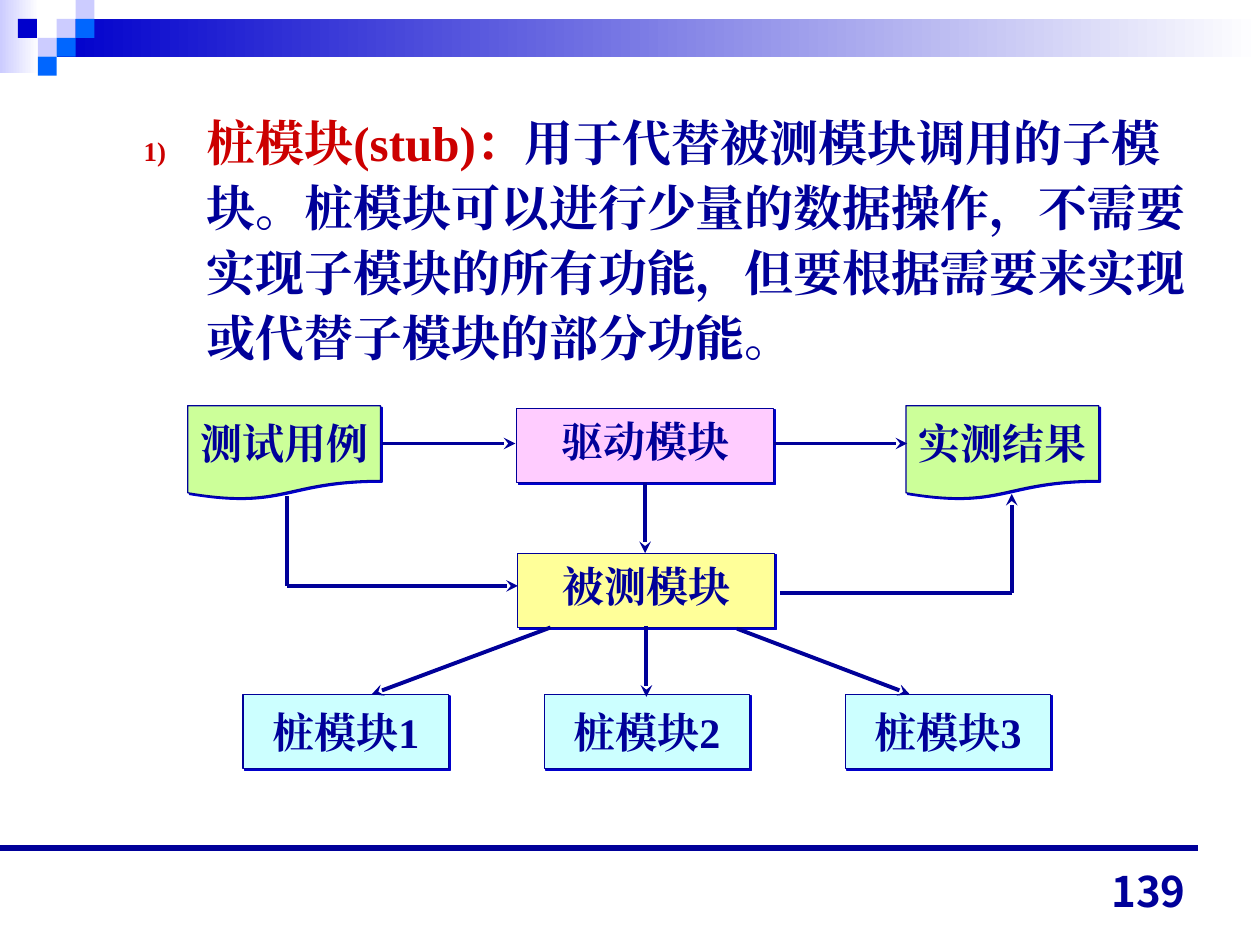
from lxml.etree import SubElement
from pptx import Presentation
from pptx.dml.color import RGBColor
from pptx.enum.shapes import MSO_CONNECTOR as Connector, MSO_SHAPE as Shape
from pptx.enum.text import MSO_ANCHOR as Anchor, MSO_AUTO_SIZE as AutoSize, PP_ALIGN as Align
from pptx.oxml.ns import qn
from pptx.util import Inches, Pt

WHITE = RGBColor(0xFF, 0xFF, 0xFF)
NAVY = RGBColor(0x00, 0x00, 0x99)
BLUE = RGBColor(0x00, 0x00, 0xCC)
BRIGHT = RGBColor(0x00, 0x66, 0xFF)
LAVENDER = RGBColor(0xCC, 0xCC, 0xFF)
RED = RGBColor(0xCC, 0x00, 0x00)
YELLOW = RGBColor(0xFF, 0xFF, 0x99)
PINK = RGBColor(0xFF, 0xCC, 0xFF)
CYAN = RGBColor(0xCC, 0xFF, 0xFF)
GREEN = RGBColor(0xCC, 0xFF, 0x99)

SERIF = "Times New Roman"
SANS = "Noto Sans CJK JP"
COLUMNS, ROWS = 100, 75  # the slide is a grid of square cells
CELL = Inches(0.1)


def cells(*counts):
    return [round(count * CELL) for count in counts]


def add_xml(parent, tag, **attributes):
    return SubElement(parent, qn(tag), {key: str(value) for key, value in attributes.items()})


def add_run(paragraph, text, size, color=NAVY, font=SERIF):
    run = paragraph.add_run()
    run.text = text
    for name, value in {"name": font, "size": Pt(size), "bold": True}.items():
        setattr(run.font, name, value)
    run.font.color.rgb = color
    add_xml(run.font._element, "a:ea", typeface=font)


def format_frame(frame, **values):
    defaults = {"word_wrap": True, "auto_size": AutoSize.NONE}
    for name, value in (defaults | values).items():
        setattr(frame, name, value)


def add_block(slide, box, color, fade=False):
    """Add a borderless rectangle, plain or fading to white on the right."""
    shape = slide.shapes.add_shape(Shape.RECTANGLE, *cells(*box))
    shape.shadow.inherit = False
    shape.line.fill.background()
    if fade:
        shape.fill.gradient()
        shape.fill.gradient_angle = 0
        for stop, stop_color in zip(shape.fill.gradient_stops, (color, WHITE)):
            stop.color.rgb = stop_color
    else:
        shape.fill.solid()
        shape.fill.fore_color.rgb = color


def add_line(slide, start, end, width=2.25, arrow=False):
    line = slide.shapes.add_connector(Connector.STRAIGHT, *cells(*start, *end))
    line.line.color.rgb = NAVY
    line.line.width = Pt(width)
    if arrow:
        add_xml(line.line._get_or_add_ln(), "a:tailEnd", type="stealth")
    add_xml(line._element.spPr, "a:effectLst")


def add_header(slide, left, top, width):
    """Draw the fading bar and its mosaic of small squares."""
    tile = 1.5
    add_block(slide, (left, top, 3.1, 5.8), LAVENDER, fade=True)
    add_block(slide, (left + 3 * tile, top + tile, width - 3 * tile, 2 * tile), BLUE, fade=True)
    mosaic = {
        LAVENDER: [(3, 1), (4, 0), (2, 2)],
        BRIGHT: [(4, 1), (3, 2), (2, 3)],
        BLUE: [(0.95, 1)],
    }
    for color, places in mosaic.items():
        for column, row in places:
            add_block(slide, (left + column * tile, top + row * tile, tile, tile), color)


def fill_body(body, box):
    """Place the numbered definition in the body placeholder."""
    body.left, body.top, body.width, body.height = cells(*box)
    format_frame(body.text_frame, vertical_anchor=Anchor.TOP)
    paragraph = body.text_frame.paragraphs[0]
    paragraph.level = 1
    properties = paragraph._p.get_or_add_pPr()
    properties.set("marL", str(Inches(1)))
    properties.set("indent", str(Inches(-0.5)))
    add_xml(add_xml(properties, "a:buClr"), "a:srgbClr", val=RED)
    add_xml(properties, "a:buSzPct", val=55000)
    add_xml(properties, "a:buFont", typeface=SANS)
    add_xml(properties, "a:buAutoNum", type="arabicParenR")
    spacing = {"line_spacing": 1.1, "space_before": Pt(0), "alignment": Align.LEFT}
    for name, value in spacing.items():
        setattr(paragraph, name, value)
    add_run(paragraph, "桩模块(stub)：", 28, RED)
    add_run(paragraph, "用于代替被测模块调用的子模块。桩模块可以进行少量的数据操作，"
            "不需要实现子模块的所有功能，但要根据需要来实现或代替子模块的部分功能。", 28)


def add_node(slide, box, text, color, kind=Shape.RECTANGLE, lift=0):
    """Add a labelled box with a hard shadow; lift raises its label."""
    node = slide.shapes.add_shape(kind, *cells(*box))
    node.fill.solid()
    node.fill.fore_color.rgb = color
    node.line.color.rgb = NAVY
    node.line.width = Pt(0.75)
    node.shadow.inherit = False
    shadow = add_xml(node._element.spPr.find(qn("a:effectLst")), "a:outerShdw", blurRad=0,
                     dist=Pt(1.4), dir=45 * 60000, algn="ctr", rotWithShape=0)
    add_xml(shadow, "a:srgbClr", val=BLUE)
    format_frame(node.text_frame, vertical_anchor=Anchor.MIDDLE, margin_left=0, margin_right=0,
                 margin_top=0, margin_bottom=cells(lift)[0])
    paragraph = node.text_frame.paragraphs[0]
    paragraph.alignment = Align.CENTER
    add_run(paragraph, text, 24)


def add_diagram(slide, left, top):
    """Draw the test set-up: cases, driver, module under test, stubs, results."""
    module, stub, document = (20.4, 5.9), (16.3, 5.9), (15.3, 7.4)

    def place(x, y):
        return left + x, top + y

    add_node(slide, (*place(26.2, 11.7), *module), "被测模块", YELLOW, lift=0.7)
    add_node(slide, (*place(26.1, 0.2), *module), "驱动模块", PINK, lift=0.7)
    for index in range(3):
        add_node(slide, (*place(4.4 + 23.9 * index, 22.9), *stub), f"桩模块{index + 1}", CYAN)
    for x, text in ((0, "测试用例"), (57, "实测结果")):
        add_node(slide, (*place(x, 0), *document), text, GREEN, Shape.FLOWCHART_DOCUMENT)

    arrows = [
        ((36.3, 6.1), (36.3, 11.7)),  # driver to module under test
        ((36.4, 17.5), (36.4, 23.1)),  # module under test to the stubs
        ((28.8, 17.6), (14.6, 22.9)),
        ((43.6, 17.7), (57.3, 22.9)),
        ((15.4, 3), (26, 3)),  # cases to driver, driver to results
        ((46.5, 3), (57.1, 3)),
        ((7.9, 14.3), (26.2, 14.3)),  # cases to module under test
        ((65.4, 14.9), (65.4, 7)),  # module under test to results
    ]
    plain_lines = [((7.9, 14.3), (7.9, 7.2)), ((47, 14.9), (65.4, 14.9))]
    for lines, arrow in ((arrows, True), (plain_lines, False)):
        for start, end in lines:
            add_line(slide, place(*start), place(*end), arrow=arrow)


def add_footer(slide, top, right):
    add_line(slide, (0, top), (right, top), width=3.25)
    width = 23.3
    number = slide.shapes.add_textbox(*cells(right - width, top + 0.9, width, 5))
    format_frame(number.text_frame, vertical_anchor=Anchor.BOTTOM)
    paragraph = number.text_frame.paragraphs[0]
    paragraph.alignment = Align.RIGHT
    add_run(paragraph, "139", 24, font=SANS)


def main():
    presentation = Presentation()
    presentation.slide_width, presentation.slide_height = cells(COLUMNS, ROWS)
    slide = presentation.slides.add_slide(presentation.slide_layouts[1])
    title = slide.shapes.title._element
    title.getparent().remove(title)
    add_header(slide, 0, 0, COLUMNS)
    fill_body(slide.placeholders[1], (5.4, 8, 90, 22.9))
    add_diagram(slide, 14.9, 32.2)
    add_footer(slide, 67.3, 95.1)
    presentation.save("out.pptx")


if __name__ == "__main__":
    main()
